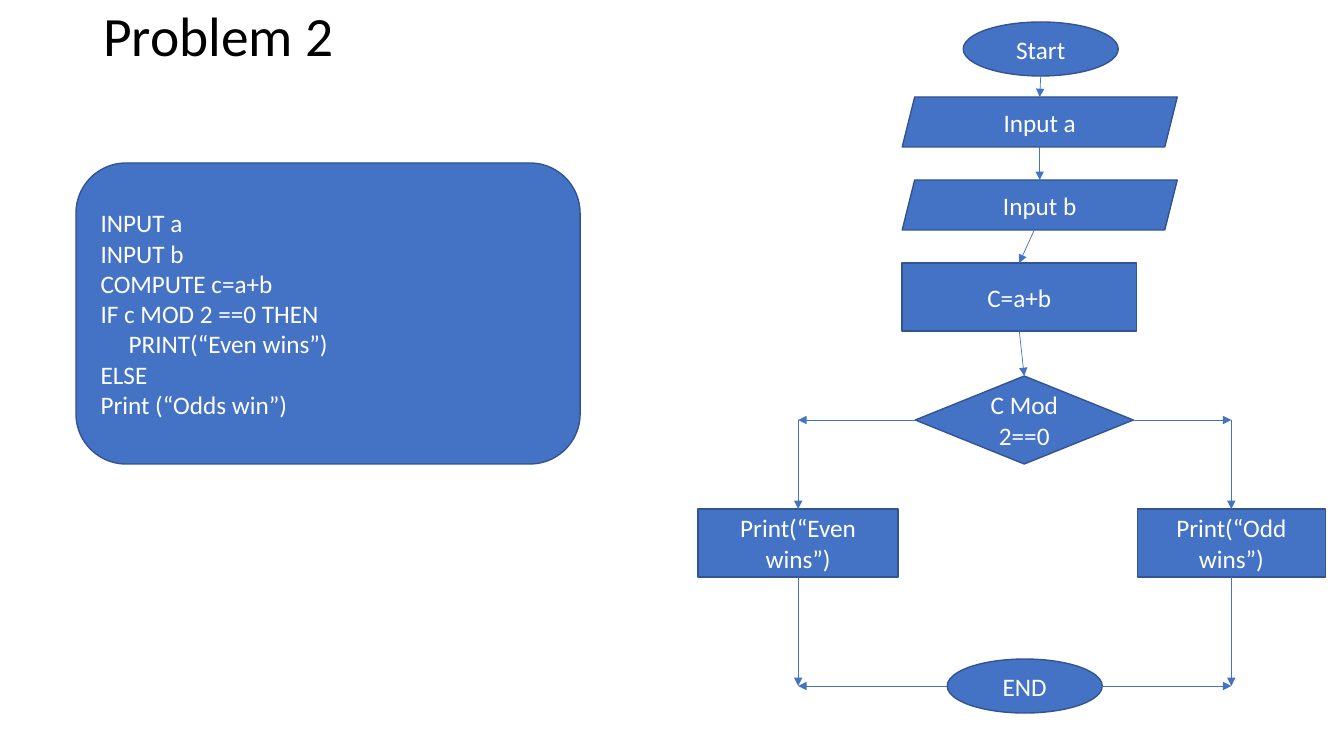
from pptx import Presentation
from pptx.dml.color import RGBColor
from pptx.enum.shapes import MSO_CONNECTOR, MSO_SHAPE
from pptx.enum.text import MSO_ANCHOR, MSO_AUTO_SIZE, PP_ALIGN
from pptx.oxml.ns import qn
from pptx.util import Emu, Inches, Pt
from lxml.etree import SubElement

SCALE = 914400 / 100.8
BLUE = RGBColor(0x44, 0x72, 0xC4)
EDGE = RGBColor(0x32, 0x54, 0x91)
WHITE = RGBColor(0xFF, 0xFF, 0xFF)
BLACK = RGBColor(0, 0, 0)

START = (963, 22, 155, 54)
INPUT_A = (902, 97, 275, 50)
INPUT_B = (902, 180, 275, 50)
SUM = (902, 263, 234, 68)
TEST = (915, 376, 218, 88)
EVEN = (698, 509, 200, 68)
ODD = (1137, 509, 188, 68)
END = (947, 659, 155, 54)
CODE = (76, 163, 504, 301)
INDENT = 28

NODES = [
    (MSO_SHAPE.OVAL, START, "Start"),
    (MSO_SHAPE.PARALLELOGRAM, INPUT_A, "Input a"),
    (MSO_SHAPE.PARALLELOGRAM, INPUT_B, "Input b"),
    (MSO_SHAPE.RECTANGLE, SUM, "C=a+b"),
    (MSO_SHAPE.DIAMOND, TEST, "C Mod 2==0"),
    (MSO_SHAPE.RECTANGLE, EVEN, "Print(“Even wins”)"),
    (MSO_SHAPE.RECTANGLE, ODD, "Print(“Odd wins”)"),
    (MSO_SHAPE.OVAL, END, "END"),
]
LINES = [
    "INPUT a",
    "INPUT b",
    "COMPUTE c=a+b",
    "IF c MOD 2 ==0 THEN",
    "PRINT(“Even wins”)",
    "ELSE",
    "Print (“Odds win”)",
]


def px(num):
    """Turn picture pixels into EMU."""
    return Emu(round(num * SCALE))


def style(para, size, color, align):
    """Set the font and alignment of a paragraph."""
    para.alignment = align
    para.font.name = "Calibri"
    para.font.size = Pt(size)
    para.font.color.rgb = color


def add_title(slide, text):
    """Place and format the title."""
    title = slide.shapes.title
    title.left, title.top, title.width, title.height = map(px, (93, 14, 1212, 49))
    frame = title.text_frame
    frame.text = text
    frame.auto_size = MSO_AUTO_SIZE.NONE
    frame.vertical_anchor = MSO_ANCHOR.MIDDLE
    para = frame.paragraphs[0]
    para.line_spacing = 0.9
    style(para, 39.6, BLACK, PP_ALIGN.LEFT)


def add_box(slide, kind, area, text, align=PP_ALIGN.CENTER):
    """Add a filled shape with white text and return it."""
    box = slide.shapes.add_shape(kind, *map(px, area))
    box.shadow.inherit = False
    box.fill.solid()
    box.fill.fore_color.rgb = BLUE
    box.line.color.rgb = EDGE
    box.line.width = Pt(1)
    frame = box.text_frame
    frame.word_wrap = True
    frame.vertical_anchor = MSO_ANCHOR.MIDDLE
    frame.text = text
    for para in frame.paragraphs:
        style(para, 18, WHITE, align)
    return box


def add_code(slide):
    """Add the pseudocode panel with its indented branch."""
    box = add_box(slide, MSO_SHAPE.ROUNDED_RECTANGLE, CODE, "\n".join(LINES), PP_ALIGN.LEFT)
    branch = box.text_frame.paragraphs[LINES.index("PRINT(“Even wins”)")]
    branch._p.get_or_add_pPr().set("marL", str(px(INDENT)))


def add_arrow(slide, start, stop):
    """Draw a thin arrow between two points."""
    link = slide.shapes.add_connector(MSO_CONNECTOR.STRAIGHT, *map(px, start + stop))
    link.line.color.rgb = BLUE
    link.line.width = Pt(0.5)
    SubElement(link.line._get_or_add_ln(), qn("a:tailEnd"), type="triangle")
    SubElement(link._element.spPr, qn("a:effectLst"))


def edge(area, across, down):
    """Find a point at given fractions of an area."""
    left, top, width, height = area
    return left + width * across, top + height * down


def add_flow(slide):
    """Draw the arrows of the flowchart."""
    steps = [START, INPUT_A, INPUT_B, SUM, TEST]
    for last, step in zip(steps, steps[1:]):
        shift = 0.48 if last is INPUT_B else 0.5
        add_arrow(slide, edge(last, shift, 1), edge(step, 0.5, 0))
    for side, leaf in enumerate((EVEN, ODD)):
        top, foot = edge(leaf, 0.5, 0), edge(leaf, 0.5, 1)
        fork, join = edge(TEST, side, 0.5), edge(END, side, 0.5)
        turn, stop = (top[0], fork[1]), (top[0], join[1])
        for ends in ((fork, turn), (turn, top), (foot, stop), (join, stop)):
            add_arrow(slide, *ends)


def main():
    """Build and save the slide."""
    deck = Presentation()
    deck.slide_width, deck.slide_height = Inches(13.33), Inches(7.5)
    slide = deck.slides.add_slide(deck.slide_layouts[5])
    add_title(slide, "Problem 2")
    for kind, area, text in NODES:
        add_box(slide, kind, area, text)
    add_flow(slide)
    add_code(slide)
    deck.save("out.pptx")


main()
